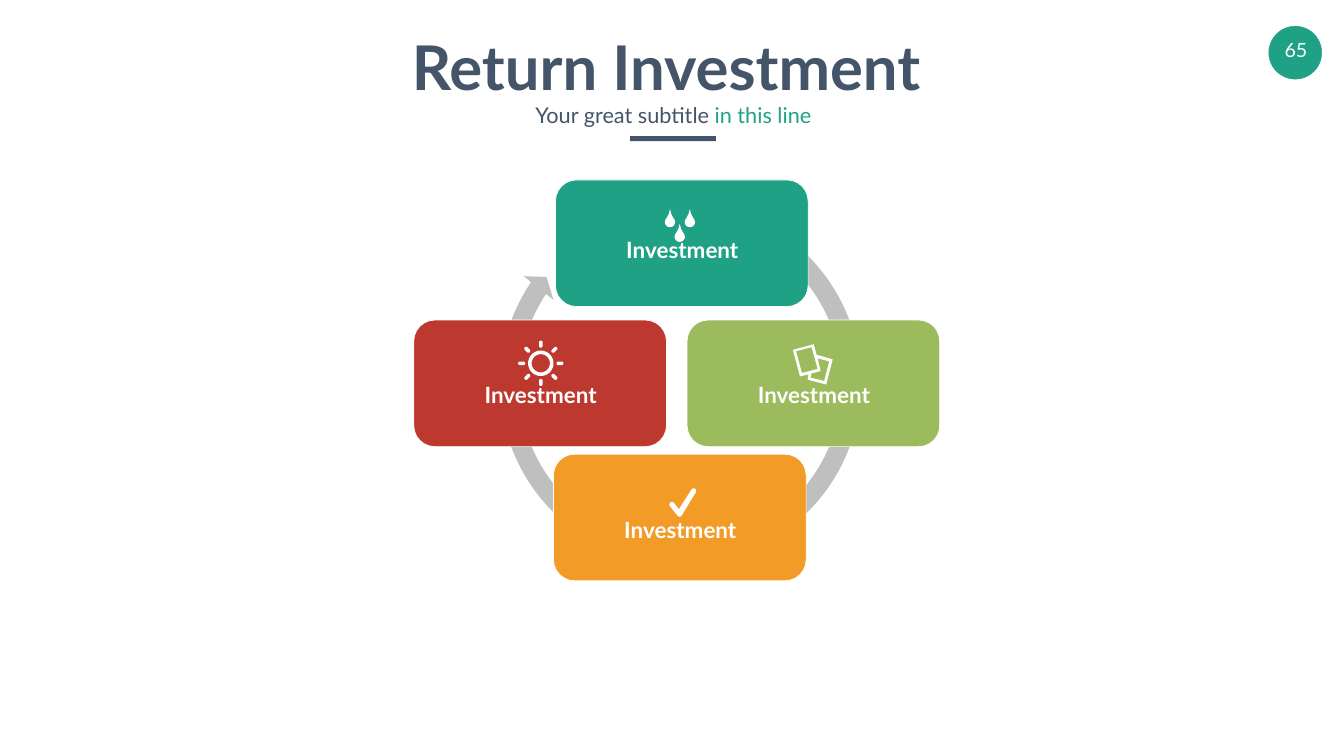
from dataclasses import dataclass
from math import cos, radians, sin

from pptx import Presentation
from pptx.dml.color import RGBColor
from pptx.enum.shapes import MSO_SHAPE
from pptx.enum.text import MSO_ANCHOR, PP_ALIGN
from pptx.util import Cm, Pt

OVAL, RECT = MSO_SHAPE.OVAL, MSO_SHAPE.RECTANGLE
ROUND, CYCLE = MSO_SHAPE.ROUNDED_RECTANGLE, MSO_SHAPE.CIRCULAR_ARROW
TOP, MIDDLE = MSO_ANCHOR.TOP, MSO_ANCHOR.MIDDLE
CENTER = PP_ALIGN.CENTER


@dataclass(frozen=True)
class Theme:
    font: str = "Lato"
    navy: str = "445469"
    green: str = "1EA185"
    lime: str = "9BBB5C"
    red: str = "BD392F"
    amber: str = "F29B26"
    gray: str = "BFBFBF"
    white: str = "FFFFFF"
    title: int = 88
    label: int = 32
    sub: int = 31
    page: int = 28


T = Theme()


def paint(shape, fill, line=None, width=1):
    shape.shadow.inherit = False
    shape.fill.solid()
    shape.fill.fore_color.rgb = RGBColor.from_string(fill)
    if line:
        shape.line.color.rgb = RGBColor.from_string(line)
        shape.line.width = Pt(width)
    else:
        shape.line.fill.background()
    return shape


def block(slide, kind, box, fill, line=None, width=1):
    shape = slide.shapes.add_shape(kind, *map(Cm, box))
    return paint(shape, fill, line, width)


def write(shape, *runs, size, bold=False, anchor=TOP, space=None,
          inset=(0.25, 0.13)):
    """Fill a shape with one centred paragraph of (text, colour) runs."""
    frame = shape.text_frame
    frame.word_wrap = True
    frame.vertical_anchor = anchor
    frame.margin_left = frame.margin_right = Cm(inset[0])
    frame.margin_top = frame.margin_bottom = Cm(inset[1])
    para = frame.paragraphs[0]
    para.alignment = CENTER
    if space:
        para.line_spacing = space
    for text, color in runs:
        run = para.add_run()
        run.text = text
        run.font.name = T.font
        run.font.size = Pt(size)
        run.font.bold = bold
        run.font.color.rgb = RGBColor.from_string(color)


def arc(x, y, r, start, end, steps=12):
    turns = [radians(start + (end - start) * i / steps)
             for i in range(steps + 1)]
    return [(x + r * cos(t), y + r * sin(t)) for t in turns]


def icon(slide, x, y, loops):
    """Draw closed loops, measured in cm from (x, y), as one white shape."""
    loops = [[((x + dx) * 1000, (y + dy) * 1000) for dx, dy in loop]
             for loop in loops]
    pen = slide.shapes.build_freeform(*loops[0][0], scale=Cm(1) / 1000)
    for i, loop in enumerate(loops):
        if i:
            pen.move_to(*loop[0])
        pen.add_line_segments(loop[1:], close=True)
    paint(pen.convert_to_shape(), T.white)


def drops():
    side = [(0.06, 0.23), (0.15, 0.41), (0.23, 0.53)]
    drop = ([(0, 0)] + side + arc(0, 0.65, 0.26, 0, 180)
            + [(-x, y) for x, y in reversed(side)])
    tips = [(5.77, 1.47), (6.77, 1.47), (6.26, 2.21)]
    return [[(x + dx, y + dy) for dx, dy in drop] for x, y in tips]


def sun():
    x, y = 6.4, 2.18
    loops = [arc(x, y, 0.64, 0, 360, 48), arc(x, y, 0.46, 360, 0, 48)]
    for turn in range(0, 360, 45):
        c, s = cos(radians(turn)), sin(radians(turn))
        loops.append(
            arc(x + 1.05 * c, y + 1.05 * s, 0.09, turn - 90, turn + 90)
            + arc(x + 0.88 * c, y + 0.88 * s, 0.09, turn + 90, turn + 270))
    return loops


def sheets():
    return [
        [(7.34, 1.98), (6.53, 1.75), (6.38, 1.22), (5.33, 1.5),
         (5.69, 2.84), (6.12, 2.74), (6.07, 3), (7.01, 3.25)],
        [(5.49, 1.57), (6.27, 1.37), (6.58, 2.46), (5.79, 2.67)],
        [(6.91, 3.07), (6.22, 2.9), (6.27, 2.69), (6.73, 2.57),
         (6.58, 1.93), (7.16, 2.08)],
    ]


def check():
    return [arc(5.97, 2.54, 0.13, 142, 322) + [(6.32, 2.77)]
            + arc(7.06, 1.85, 0.13, -149, 31)
            + arc(6.35, 3.02, 0.13, 31, 142)]


def card(slide, x, y, fill, loops, drop=2.15):
    """Place a card; drop is how far its label lies below the top."""
    block(slide, ROUND, (x, y, 12.73, 6.38), fill, T.white)
    label = block(slide, RECT, (x + 2.3, y + drop, 8.18, 3.43), fill)
    write(label, ("Investment", T.white), size=T.label, bold=True,
          anchor=MIDDLE, space=0.9, inset=(0.25, 0.25))
    icon(slide, x, y, loops)


def cycle(slide, x, y):
    ring = block(slide, CYCLE, (x + 3.86, y + 0.68, 19.15, 19.18), T.gray)
    for i, value in enumerate((0.05, 2.73, 128.41, 180.24, 0.05)):
        ring.adjustments[i] = value
    card(slide, x + 7.04, y + 13.82, T.amber, check())
    card(slide, x, y + 7.06, T.red, sun())
    card(slide, x + 13.77, y + 7.06, T.lime, sheets())
    card(slide, x + 7.14, y, T.green, drops(), 1.9)


def head(slide, x, y, w):
    title = slide.shapes.add_textbox(Cm(x - 0.3), Cm(y), Cm(w), Cm(4.01))
    write(title, ("Return Investment", T.navy), size=T.title, bold=True)
    block(slide, RECT, (x + (w - 4.32) / 2 + 0.05, y + 5.51, 4.32, 0.25),
          T.navy)
    sub = slide.shapes.add_textbox(Cm(x + 1.04), Cm(y + 3.2), Cm(32.39),
                                   Cm(2.34))
    write(sub, ("Your great subtitle ", T.navy), ("in this line", T.green),
          size=T.sub, space=1.2, inset=(0.61, 0.3))


def badge(slide, x, y):
    block(slide, OVAL, (x, y, 2.67, 2.67), T.green, T.green, 0.5)
    page = slide.shapes.add_textbox(Cm(x + 0.25), Cm(y + 0.36), Cm(2.24),
                                    Cm(1.7))
    write(page, ("65", T.white), size=T.page, inset=(0, 0.25))


def main():
    deck = Presentation()
    deck.slide_width, deck.slide_height = Cm(67.72), Cm(38.1)
    slide = deck.slides.add_slide(deck.slide_layouts[6])
    badge(slide, 63.93, 1.32)
    cycle(slide, 20.85, 9.07)
    head(slide, 16.69, 1.35, 34.34)
    deck.save("out.pptx")


if __name__ == "__main__":
    main()
